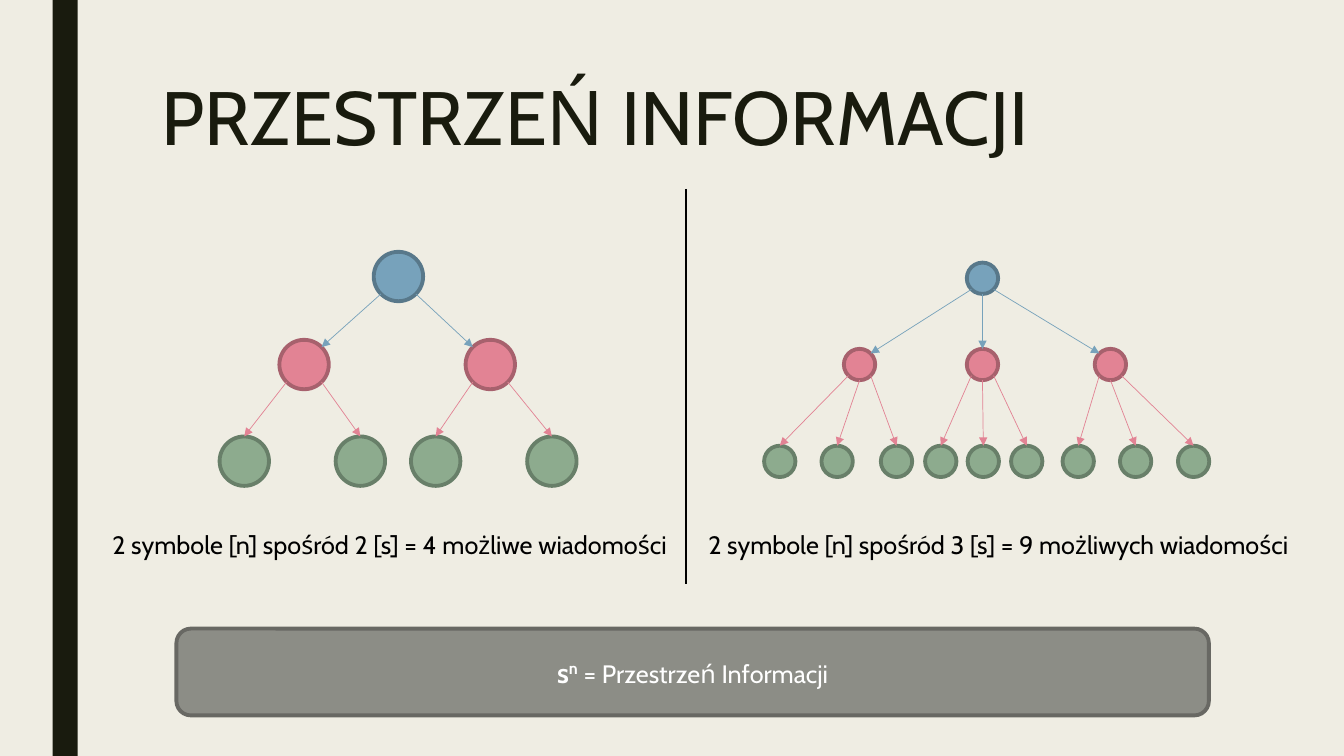
"""Build the slide that compares the information space of two symbol trees."""
from lxml import etree
from pptx import Presentation
from pptx import util as u
from pptx.dml.color import RGBColor
from pptx.enum import shapes, text
from pptx.oxml import ns

COLOURS = {
    "paper": "EFEDE3", "ink": "191B0E", "black": "000000", "white": "FFFFFF",
    "root": "77A2BB", "root edge": "58788A",
    "branch": "E28394", "branch edge": "A7616D",
    "leaf": "8DAB8E", "leaf edge": "687F69",
    "panel": "8C8D86", "panel edge": "686863",
}
DIAGONAL = 0.707
SIDES = {2: (-1, 1), 3: (-1, 0, 1)}


def colour(name):
    """Return the named colour."""
    return RGBColor.from_string(COLOURS[name])


class Slide:
    """Hold the style and the current slide."""

    font = "Cabin"
    edge = 2.75
    arrow = 0.5

    def __init__(self, deck):
        """Add a title-only page with the paper background."""
        self.page = deck.slides.add_slide(deck.slide_layouts[5])
        self.page.background.fill.solid()
        self.page.background.fill.fore_color.rgb = colour("paper")

    def span(self, para, words, size, ink, bold=False, raised=False):
        """Add one run to a paragraph."""
        span = para.add_run()
        span.text = words
        span.font.name = self.font
        span.font.size = u.Pt(size)
        span.font.bold = bold
        span.font.color.rgb = colour(ink)
        if raised:
            span._r.get_or_add_rPr().set("baseline", "30000")

    def title(self, words, left, top, width, height):
        """Place and format the title placeholder."""
        box = self.page.shapes.title
        box.left, box.top = u.Pt(left), u.Pt(top)
        box.width, box.height = u.Pt(width), u.Pt(height)
        frame = box.text_frame
        frame.word_wrap = True
        frame.auto_size = text.MSO_AUTO_SIZE.NONE
        frame.vertical_anchor = text.MSO_ANCHOR.TOP
        para = frame.paragraphs[0]
        para.alignment = text.PP_ALIGN.LEFT
        para.line_spacing = 0.89
        self.span(para, words, 54, "ink")

    def shape(self, kind, left, top, width, height, fill, edge=None):
        """Add a filled preset shape, outlined when an edge is named."""
        box = self.page.shapes.add_shape(
            kind, u.Pt(left), u.Pt(top), u.Pt(width), u.Pt(height))
        box.shadow.inherit = False
        box.fill.solid()
        box.fill.fore_color.rgb = colour(fill)
        if edge:
            box.line.color.rgb = colour(edge)
            box.line.width = u.Pt(self.edge)
        else:
            box.line.fill.background()
        return box

    def line(self, start, end, ink, weight, pointed=False):
        """Add a straight line, with an arrowhead when pointed."""
        line = self.page.shapes.add_connector(
            shapes.MSO_CONNECTOR.STRAIGHT, *(u.Pt(n) for n in (*start, *end)))
        line.line.color.rgb = colour(ink)
        line.line.width = u.Pt(weight)
        if pointed:
            etree.SubElement(line.line._get_or_add_ln(), ns.qn("a:tailEnd"), type="triangle")
        etree.SubElement(line._element.spPr, ns.qn("a:effectLst"))

    def caption(self, words, left, top, width, height):
        """Add a centred caption."""
        box = self.page.shapes.add_textbox(
            u.Pt(left), u.Pt(top), u.Pt(width), u.Pt(height))
        frame = box.text_frame
        frame.word_wrap = True
        frame.auto_size = text.MSO_AUTO_SIZE.SHAPE_TO_FIT_TEXT
        para = frame.paragraphs[0]
        para.alignment = text.PP_ALIGN.CENTER
        self.span(para, words, 18, "black")

    def node(self, centre, size, kind):
        """Add a circle around its centre."""
        x, y = centre
        self.shape(shapes.MSO_SHAPE.OVAL, x - size / 2, y - size / 2,
                   size, size, kind, f"{kind} edge")

    def tree(self, size, root, branches, leaves, branch_y, leaf_y):
        """Draw a three-level tree in which every parent has equal children."""
        radius = size / 2
        count = len(branches)

        def rim(centre, side, down):
            """Return the point on a circle at a diagonal or straight up or down."""
            rise = DIAGONAL if side else 1
            return centre[0] + side * DIAGONAL * radius, centre[1] + down * rise * radius

        self.node(root, size, "root")
        for index, (side, x) in enumerate(zip(SIDES[count], branches)):
            branch = x, branch_y
            self.node(branch, size, "branch")
            self.line(rim(root, side, 1), rim(branch, -side, -1), "root", self.arrow, True)
            family = leaves[index * count:(index + 1) * count]
            for leaf_side, leaf_x in zip(SIDES[count], family):
                leaf = leaf_x, leaf_y
                self.node(leaf, size, "leaf")
                self.line(rim(branch, leaf_side, 1), rim(leaf, 0, -1),
                          "branch", self.arrow, True)

    def formula(self, left, top, width, height):
        """Add the panel with the formula."""
        box = self.shape(shapes.MSO_SHAPE.ROUNDED_RECTANGLE, left, top, width, height,
                         "panel", "panel edge")
        box.text_frame.vertical_anchor = text.MSO_ANCHOR.MIDDLE
        para = box.text_frame.paragraphs[0]
        para.alignment = text.PP_ALIGN.CENTER
        self.span(para, "s", 20, "white", bold=True)
        self.span(para, "n", 20, "white", bold=True, raised=True)
        self.span(para, " = Przestrzeń Informacji", 18, "white")


def main():
    """Build and save the deck."""
    deck = Presentation()
    deck.slide_width, deck.slide_height = u.Pt(960), u.Pt(540)
    slide = Slide(deck)
    slide.shape(shapes.MSO_SHAPE.RECTANGLE, 37.5, 0, 18, 540, "ink")
    slide.title("PRZESTRZEŃ INFORMACJI", 108, 54, 756, 116.6)
    slide.tree(35.3, (284.6, 197.5), (217.2, 350.2),
               (174.5, 257.4, 311.2, 394.2), 260.4, 329.4)
    slide.tree(22.4, (701.8, 198.8), (614, 701.8, 793.2),
               (557, 598, 640.4, 672, 702.4, 733.4, 770.2, 811.2, 852.6), 260.4, 329.6)
    slide.caption("2 symbole [n] spośród 2 [s] = 4 możliwe wiadomości",
                  68.4, 374.6, 419.8, 29)
    slide.caption("2 symbole [n] spośród 3 [s] = 9 możliwych wiadomości",
                  496, 374.6, 434.2, 29)
    slide.line((490.2, 135), (490.2, 417), "black", 1.5)
    slide.formula(126, 449, 737.5, 62)
    deck.save("out.pptx")


if __name__ == "__main__":
    main()
